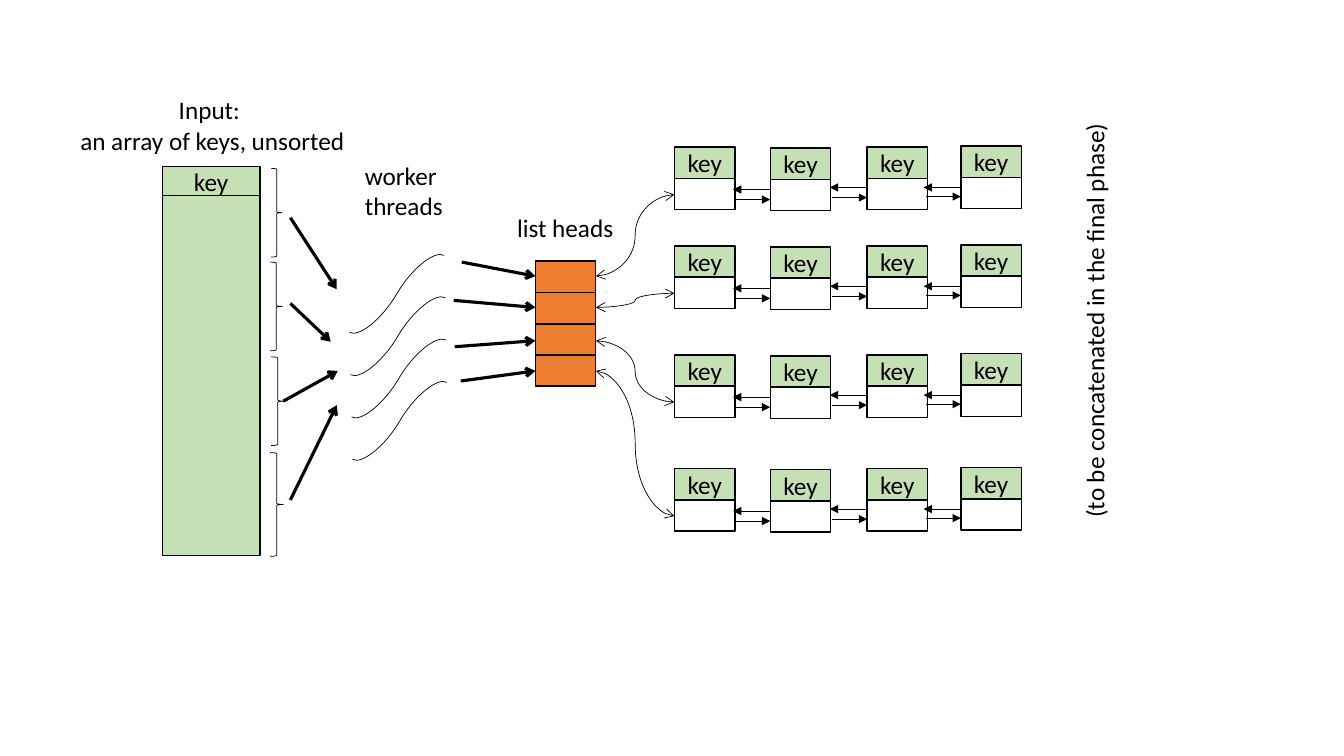
"""Build a slide showing worker threads that scatter unsorted keys into linked lists."""
from lxml import etree
from pptx import Presentation
from pptx.dml.color import RGBColor
from pptx.enum.shapes import MSO_CONNECTOR, MSO_SHAPE
from pptx.enum.text import MSO_ANCHOR, MSO_AUTO_SIZE, PP_ALIGN
from pptx.oxml.ns import qn
from pptx.util import Inches, Pt

RECT, BRACE = MSO_SHAPE.RECTANGLE, MSO_SHAPE.RIGHT_BRACE
STRAIGHT, CURVE = MSO_CONNECTOR.STRAIGHT, MSO_CONNECTOR.CURVE
LEFT, CENTER = PP_ALIGN.LEFT, PP_ALIGN.CENTER

COLORS = {"ink": "000000", "key": "C5E0B4", "head": "ED7D31", "cell": "FFFFFF"}
FONT = {"name": "Calibri", "size": Pt(18)}
THIN, BORDER, THICK = 0.5, 1, 2.25

KEY = "key"
LABELS = [
    (["Input: ", "an array of keys, unsorted"], (0.68, 0.89, 2.85, 0.71), CENTER, 0),
    (["list heads"], (5.03, 2.06, 1.17, 0.4), LEFT, 0),
    (["worker", "threads"], (3.52, 1.54, 0.98, 0.71), LEFT, 0),
    (["(to be concatenated in the final phase)"], (8.77, 2.95, 4.17, 0.4), LEFT, 270),
]

INPUT_ARRAY = (1.61, 1.65, 0.97, 3.86)
FIRST_KEY = (1.61, 1.65, 0.97, 0.29)
PARTITIONS = [(2.69, 1.67, 0.11, 0.88), (2.68, 2.6, 0.12, 0.88),
              (2.69, 3.54, 0.13, 0.88), (2.68, 4.49, 0.13, 1.03)]
READS = [((2.88, 2.16), (3.34, 2.87)), ((2.88, 3.01), (3.28, 3.39)),
         ((2.81, 3.98), (3.35, 3.68)), ((2.88, 4.96), (3.34, 4.02))]
WRITE_STARTS = [(4.58, 2.6), (4.5, 2.98), (4.51, 3.44), (4.57, 3.78)]

THREAD_COUNT, THREAD_LEFT, THREAD_TOP = 4, 3.72, 2.35
THREAD_WIDTH, THREAD_HEIGHT, THREAD_PITCH, THREAD_TURN = 0.43, 1.13, 0.42, 210

CELL_WIDTH, CELL_HEIGHT = 0.6, 0.31
HEAD_LEFT, HEAD_TOPS = 5.31, [2.59, 2.9, 3.22, 3.52]
HEAD_PORTS = [2.74, 3.05, 3.38, 3.68]
LIST_TOPS = [1.46, 2.44, 3.52, 4.65]
NODES = [(6.69, 0), (7.64, 0.01), (8.6, 0), (9.53, -0.01)]
LINKS = [(7.29, 0.52, 0.42), (8.25, 0.5, 0.4), (9.18, 0.49, 0.4)]
BACK_OVERLAP, LIST_PORT = 0.02, 0.47


def color(name):
    return RGBColor.from_string(COLORS[name])


def write(frame, lines, align):
    for number, line in enumerate(lines):
        paragraph = frame.add_paragraph() if number else frame.paragraphs[0]
        paragraph.alignment = align
        run = paragraph.add_run()
        run.text = line
        for field, value in FONT.items():
            setattr(run.font, field, value)
        run.font.color.rgb = color("ink")


def add_box(parent, box, fill=None, text=None, kind=RECT, weight=BORDER):
    shape = parent.add_shape(kind, *map(Inches, box))
    shape.shadow.inherit = False
    if fill:
        shape.fill.solid()
        shape.fill.fore_color.rgb = color(fill)
    else:
        shape.fill.background()
    shape.line.color.rgb = color("ink")
    shape.line.width = Pt(weight)
    if text:
        shape.text_frame.vertical_anchor = MSO_ANCHOR.MIDDLE
        write(shape.text_frame, [text], CENTER)


def add_line(parent, start, end, weight, kind=STRAIGHT, head=None, tail=None, turn=0):
    line = parent.add_connector(kind, *map(Inches, (*start, *end)))
    line.line.color.rgb = color("ink")
    line.line.width = Pt(weight)
    properties = line._element.spPr
    for tag, arrow in (("a:headEnd", head), ("a:tailEnd", tail)):
        if arrow:
            etree.SubElement(properties.find(qn("a:ln")), qn(tag), type=arrow)
    etree.SubElement(properties, qn("a:effectLst"))
    if turn:
        properties.find(qn("a:xfrm")).set("rot", str(turn * 60000))


def add_label(parent, lines, box, align, turn):
    label = parent.add_textbox(*map(Inches, box))
    label.rotation = turn
    label.text_frame.word_wrap = False
    label.text_frame.auto_size = MSO_AUTO_SIZE.SHAPE_TO_FIT_TEXT
    write(label.text_frame, lines, align)


def add_linked_list(parent, top):
    for left, shift in NODES:
        key_top = top + shift
        add_box(parent, (left, key_top, CELL_WIDTH, CELL_HEIGHT), "key", KEY)
        add_box(parent, (left, key_top + CELL_HEIGHT, CELL_WIDTH, CELL_HEIGHT), "cell")
    for (left, forward, back), (next_left, _) in zip(LINKS, NODES[1:]):
        add_line(parent, (left, top + forward), (next_left, top + forward),
                 THIN, tail="triangle")
        add_line(parent, (next_left, top + back), (left - BACK_OVERLAP, top + back),
                 THIN, tail="triangle")


def main():
    deck = Presentation()
    deck.slide_width, deck.slide_height = Inches(13.33), Inches(7.5)
    shapes = deck.slides.add_slide(deck.slide_layouts[6]).shapes

    add_box(shapes, INPUT_ARRAY, "key")
    add_box(shapes, FIRST_KEY, text=KEY)
    for label in LABELS:
        add_label(shapes, *label)
    for partition in PARTITIONS:
        add_box(shapes, partition, kind=BRACE, weight=THIN)
    for start, end in READS:
        add_line(shapes, start, end, THICK, tail="arrow")

    threads = shapes.add_group_shape().shapes
    for number in range(THREAD_COUNT):
        left = THREAD_LEFT + number * 0.01
        top = THREAD_TOP + number * THREAD_PITCH
        add_line(threads, (left + THREAD_WIDTH, top), (left, top + THREAD_HEIGHT),
                 THIN, CURVE, turn=THREAD_TURN)

    heads = shapes.add_group_shape().shapes
    for top in HEAD_TOPS:
        add_box(heads, (HEAD_LEFT, top, CELL_WIDTH, CELL_HEIGHT), "head")
    for top in LIST_TOPS:
        add_linked_list(shapes.add_group_shape().shapes, top)

    for start, port, top in zip(WRITE_STARTS, HEAD_PORTS, LIST_TOPS):
        add_line(shapes, start, (HEAD_LEFT, port), THICK, tail="arrow")
        add_line(shapes, (HEAD_LEFT + CELL_WIDTH, port), (NODES[0][0], top + LIST_PORT),
                 THIN, CURVE, head="arrow", tail="arrow")

    deck.save("out.pptx")


if __name__ == "__main__":
    main()
